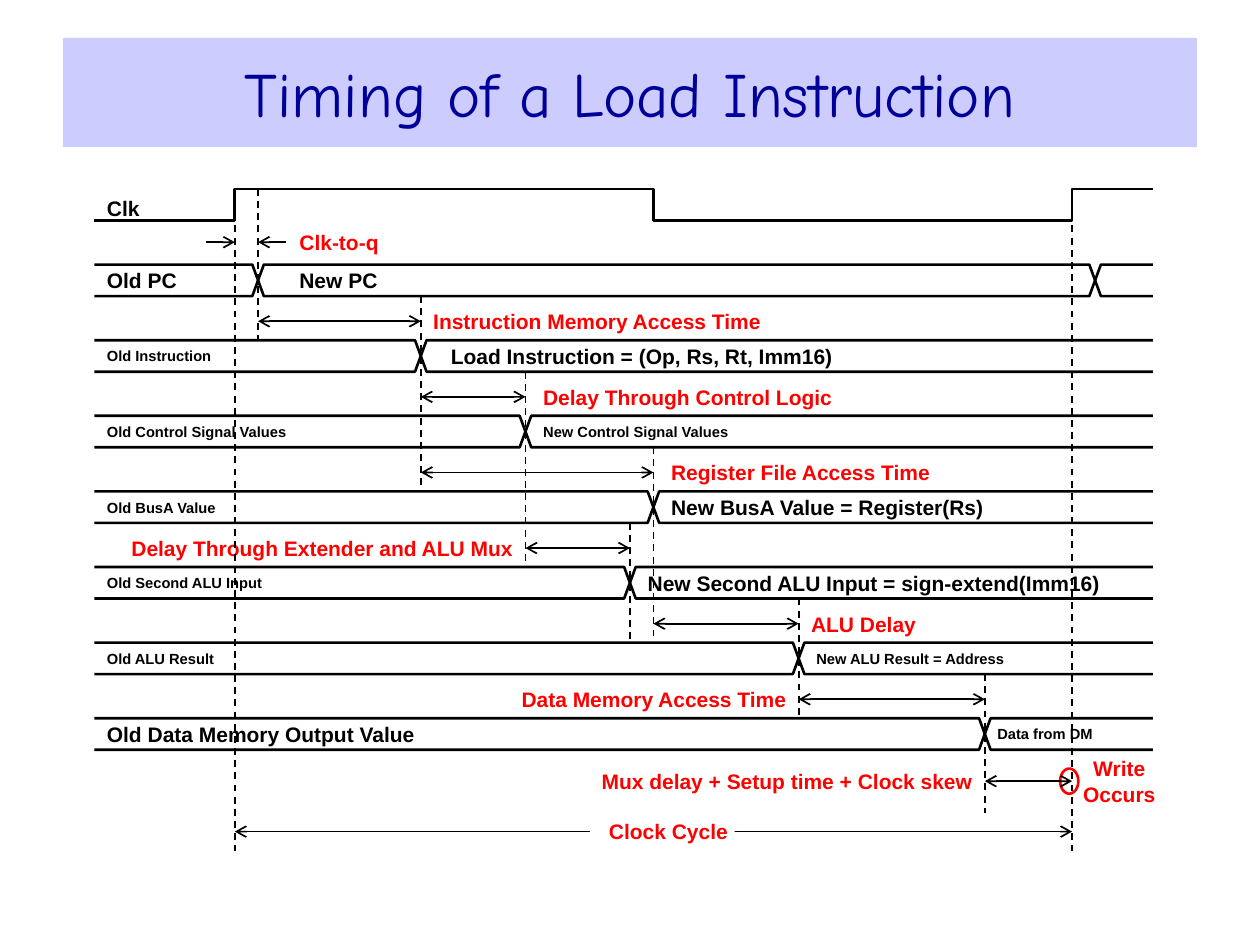
from lxml import etree
from pptx import Presentation
from pptx.dml.color import RGBColor
from pptx.enum import dml, shapes, text
from pptx.oxml import ns
from pptx.util import Pt

BLACK = RGBColor(0, 0, 0)
RED = RGBColor(0xFF, 0, 0)
NAVY = RGBColor(0, 0, 0x99)
LILAC = RGBColor(0xCC, 0xCC, 0xFF)
WHITE = RGBColor(0xFF, 0xFF, 0xFF)

LEFT, WIDE = 54, 604.8
PITCH, HIGH, SLANT = 43.2, 18, 3.3
SMALL, BIG = 8.4, 12
RIGHT, MID = text.PP_ALIGN.RIGHT, text.PP_ALIGN.CENTER

# Moments at which signals change, measured from the left of the diagram
RISE, PC, INSTR, CTRL, EXT = 80.2, 93.5, 186.5, 246.3, 306
BUSA, ALU, DATA, NEXT, PC2 = 319.4, 402.4, 508.8, 558.6, 571.8

# old value, its size, new value, its size, gap before new value,
# delay, gap before delay (None: left of the arrow), cause, change, dash drop
ROWS = [
    ("Old Instruction", SMALL, "Load Instruction = (Op, Rs, Rt, Imm16)", BIG, 10,
     "Instruction Memory Access Time", 0, PC, INSTR, 86.4),
    ("Old Control Signal Values", SMALL, "New Control Signal Values", SMALL, 3,
     "Delay Through Control Logic", 3, INSTR, CTRL, 86.4),
    ("Old BusA Value", SMALL, "New BusA Value = Register(Rs)", BIG, 3,
     "Register File Access Time", 3, INSTR, BUSA, 86.4),
    ("Old Second ALU Input", SMALL, "New Second ALU Input = sign-extend(Imm16)", BIG, 3,
     "Delay Through Extender and ALU Mux", None, CTRL, EXT, 43.2),
    ("Old ALU Result", SMALL, "New ALU Result = Address", SMALL, 3,
     "ALU Delay", 0, BUSA, ALU, 43.2),
    ("Old Data Memory Output Value", BIG, "Data from DM", SMALL, 0,
     "Data Memory Access Time", None, ALU, DATA, 54),
]


def write(shape, words, size=BIG, color=BLACK, font="Arial", bold=True,
          align=text.PP_ALIGN.LEFT, inset=7.2):
    frame = shape.text_frame
    frame.word_wrap = True
    frame.vertical_anchor = text.MSO_ANCHOR.MIDDLE
    frame.margin_left = Pt(inset)
    frame.margin_right = frame.margin_top = frame.margin_bottom = 0
    frame.text = words
    for para in frame.paragraphs:
        para.alignment = align
        face = para.font
        face.name, face.size, face.bold = font, Pt(size), bold
        face.color.rgb = color


def label(art, words, x, y, w, h, **look):
    write(art.add_textbox(Pt(x), Pt(y), Pt(w), Pt(h)), words, **look)


def block(art, kind, x, y, w, h, fill=None, edge=None):
    shape = art.add_shape(kind, Pt(x), Pt(y), Pt(w), Pt(h))
    shape.shadow.inherit = False
    if fill is None:
        shape.fill.background()
    else:
        shape.fill.solid()
        shape.fill.fore_color.rgb = fill
    if edge is None:
        shape.line.fill.background()
    else:
        shape.line.color.rgb, shape.line.width = edge, Pt(1.5)
    return shape


def rule(art, x1, y1, x2, y2, dash=False, ends=()):
    """Thin line; ends lists "headEnd" (start) and "tailEnd" (finish) arrows."""
    line = art.add_connector(shapes.MSO_CONNECTOR.STRAIGHT,
                             Pt(x1), Pt(y1), Pt(x2), Pt(y2))
    line.line.color.rgb, line.line.width = BLACK, Pt(1)
    if dash:
        line.line.dash_style = dml.MSO_LINE.DASH
    props = line._element.spPr
    stroke = props.find(ns.qn("a:ln"))
    for end in ends:
        etree.SubElement(stroke, ns.qn("a:" + end), type="arrow")
    etree.SubElement(props, ns.qn("a:effectLst"))


def span(art, x1, x2, y):
    rule(art, x1, y, x2, y, ends=("headEnd", "tailEnd"))


def trace(art, spots):
    first, *rest = [(Pt(x), Pt(y)) for x, y in spots]
    pen = art.build_freeform(*first, scale=1.0)
    pen.add_line_segments(rest, close=False)
    shape = pen.convert_to_shape()
    shape.shadow.inherit = False
    shape.fill.background()
    shape.line.color.rgb, shape.line.width = BLACK, Pt(1.5)


def bus(art, left, top, wide, turns):
    """Two mirrored traces that cross at each turn."""
    for now, then in ((top, top + HIGH), (top + HIGH, top)):
        spots = [(left, now)]
        for turn in turns:
            spots += [(left + turn - SLANT, now), (left + turn + SLANT, then)]
            now, then = then, now
        trace(art, spots + [(left + wide, now)])


def title(art, x, y, w, h):
    bar = block(art, shapes.MSO_SHAPE.RECTANGLE, x, y, w, h, LILAC)
    write(bar, "Timing of a Load Instruction", size=36, color=NAVY,
          font="Comic Neue", bold=False, align=MID, inset=0)


def counter(art, left, top, wide):
    edge, turn, mid = left + RISE, left + PC, top - 12.8
    rule(art, edge, mid, edge - 16.2, mid, ends=["headEnd"])
    rule(art, turn, mid, turn + 16.2, mid, ends=["headEnd"])
    rule(art, turn, top - PITCH, turn, top + PITCH, dash=True)
    bus(art, left, top, wide, [PC, PC2])
    label(art, "New PC", left + 110, top + 1.8, 86.4, 14.4)
    label(art, "Old PC", left, top + 1.8, 76, 14.4)
    label(art, "Clk-to-q", left + 110, top - 20, 70, 14.4, color=RED)


def signal(art, left, top, wide, old, osize, new, nsize, gap,
           delay, shift, cause, change, drop):
    turn = left + change
    rule(art, turn, top - 25.2, turn, top + drop, dash=True)
    bus(art, left, top, wide, [change])
    span(art, left + cause, turn, top - 10.8)
    if shift is None:
        label(art, delay, left + cause - 247, top - 21.6, 240, 21.6,
              color=RED, align=RIGHT)
    else:
        label(art, delay, turn + shift, top - 21.6, 200, 21.6, color=RED)
    label(art, old, left, top + 3.6, 195, 10.8, size=osize)
    room = min(275, wide - change - gap)
    label(art, new, turn + gap, top + 3.6, room, 10.8, size=nsize)


def finish(art, left, top):
    """Write-back moment, around the arrow at height top."""
    end = left + NEXT
    block(art, shapes.MSO_SHAPE.OVAL, end - 6.8, top - 7.2, 10.4, 14.4, edge=RED)
    span(art, left + DATA, end, top)
    label(art, "Mux delay + Setup time + Clock skew", left + DATA - 247,
          top - 14.4, 240, 28.8, color=RED, align=RIGHT)
    label(art, "Write\nOccurs", end + 2, top - 10.8, 50, 21.6, color=RED,
          align=MID, inset=0)


def clock(art, left, top, wide, deep):
    low, foot = top + HIGH, top + deep
    start, half, end = left + RISE, left + BUSA, left + NEXT
    for edge in (start, end):
        rule(art, edge, top, edge, foot, dash=True)
    trace(art, [(left, low), (start, low), (start, top), (half, top),
                (half, low), (end, low), (end, top), (left + wide, top)])
    label(art, "Clk", left, top + 3.6, 76, 14.4)
    span(art, start, end, foot - 10.8)
    plate = block(art, shapes.MSO_SHAPE.RECTANGLE, left + 283, foot - 21.6,
                  82.8, 21.6, WHITE)
    write(plate, "Clock Cycle", color=RED, align=MID)


def main():
    deck = Presentation()
    deck.slide_width, deck.slide_height = Pt(720), Pt(540)
    art = deck.slides.add_slide(deck.slide_layouts[6]).shapes
    title(art, 36, 21.6, 648, 62.6)

    def group():
        return art.add_group_shape().shapes

    top = 108 + PITCH
    counter(group(), LEFT, top, WIDE)
    for row in ROWS:
        top += PITCH
        signal(group(), LEFT, top, WIDE, *row)
    finish(group(), LEFT, top + 36)
    clock(group(), LEFT, 108, WIDE, 378)
    deck.save("out.pptx")


if __name__ == "__main__":
    main()
